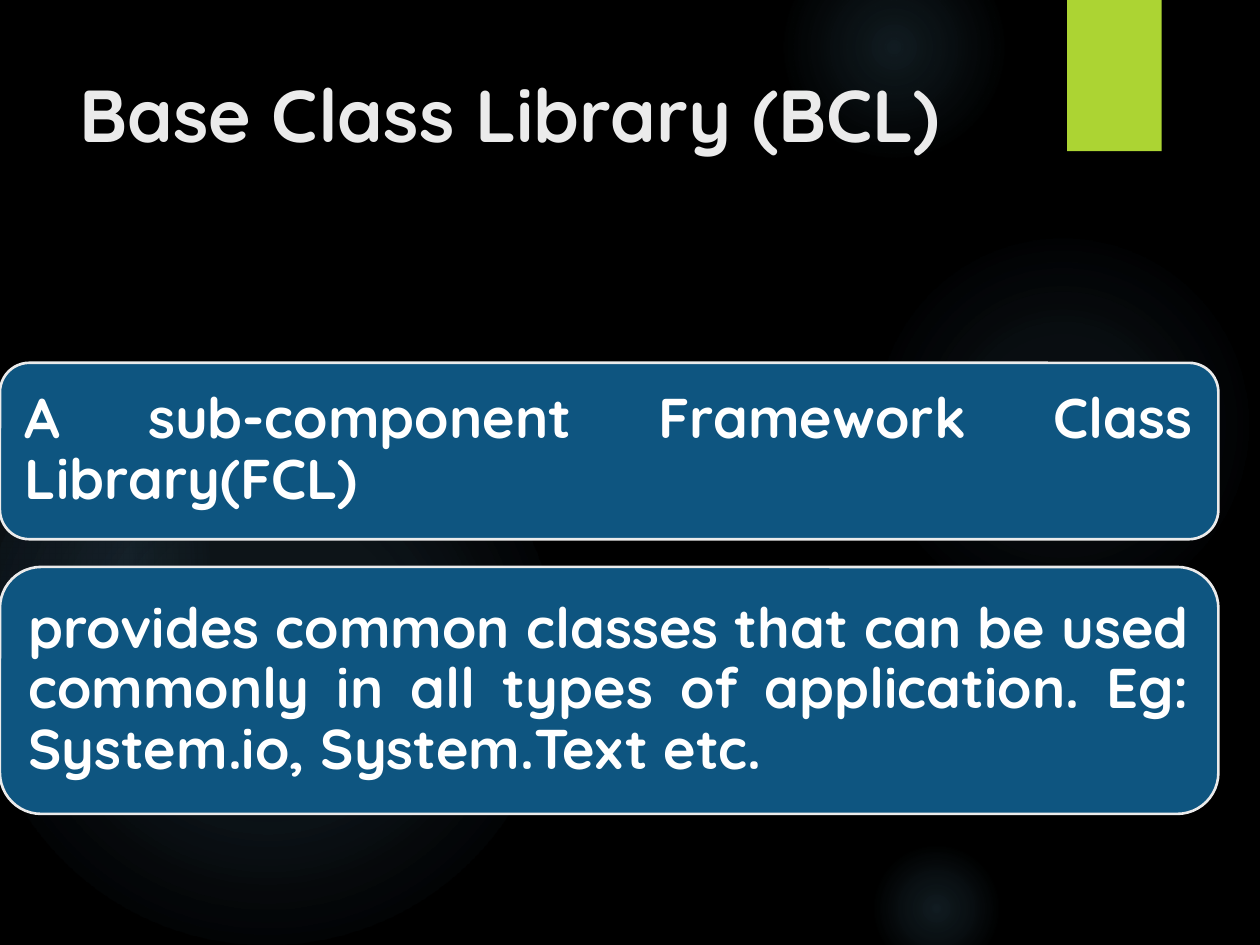
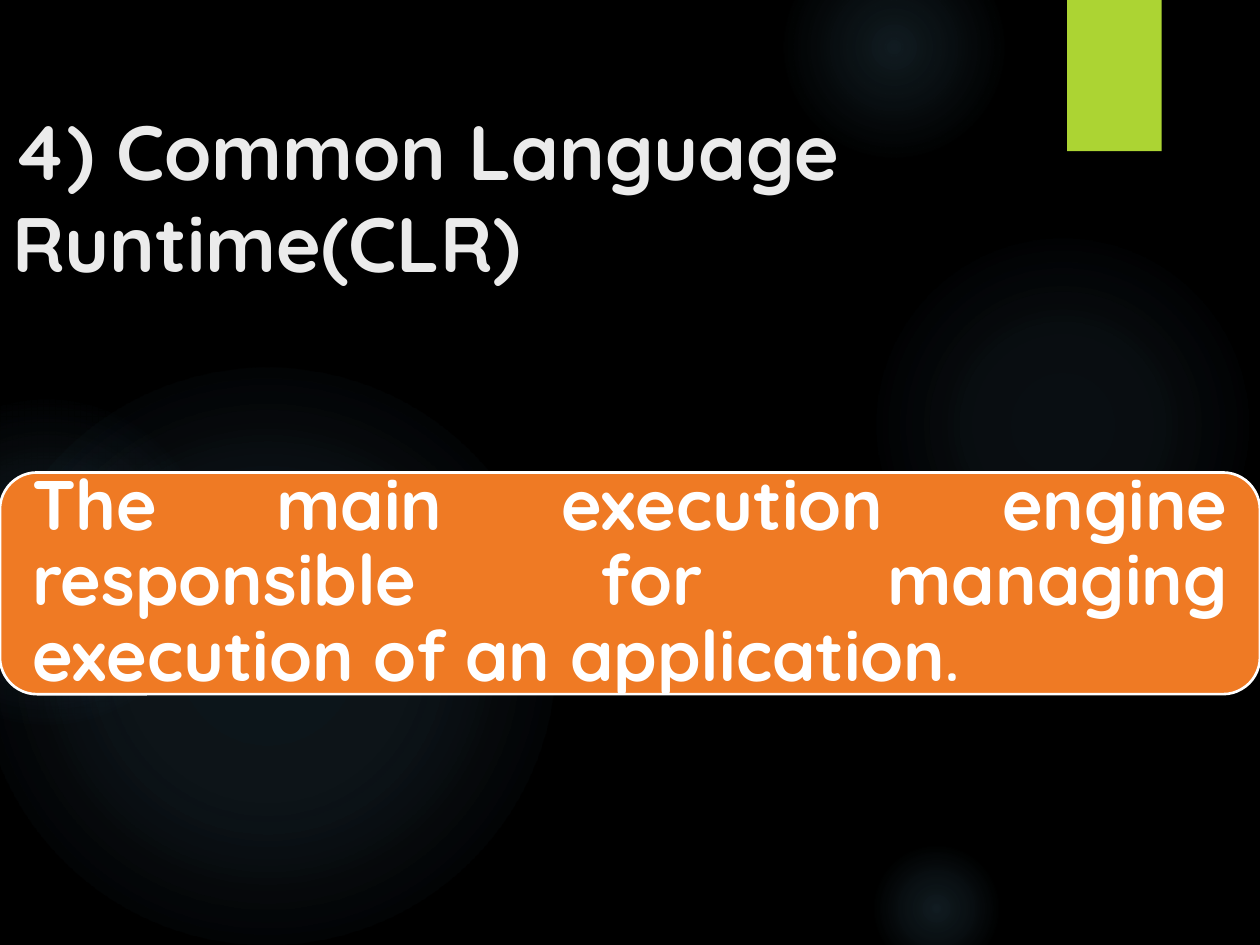
from pptx import Presentation
from pptx.dml.color import RGBColor
from pptx.enum import shapes, text
from pptx.oxml import parse_xml
from pptx.oxml.ns import nsdecls
from pptx.util import Inches, Pt

COLORS = {
    "background": "000000",
    "glow": "7AC4F0",
    "tab": "ACD433",
    "title": "EBEBEB",
    "white": "FFFFFF",
    "blue": "0E5580",
    "orange": "EF7A24",
}
FONT = "Quicksand"
GLOWS = [
    (6.89, 1.83, 3.08, [(0, 7), (36, 6), (69, 0)]),
    (6.22, -0.5, 1.75, [(0, 14), (36, 7), (73, 0)]),
    (6.89, 6.67, 1.08, [(0, 14), (36, 7), (66, 0)]),
    (-0.17, 2.92, 4.58, [(0, 11), (36, 10), (75, 0)]),
    (-0.92, 3.17, 2.58, [(0, 8), (36, 8), (72, 0)]),
]


def color(name):
    """Return the named colour of the deck."""
    return RGBColor.from_string(COLORS[name])


def add_plain_shape(page, kind, box):
    """Add a shape without shadow or outline in a box given in inches."""
    shape = page.shapes.add_shape(kind, *map(Inches, box))
    shape.shadow.inherit = False
    shape.line.fill.background()
    return shape


def add_glow(page, left, top, size, stops):
    """Add a round glow that fades towards its rim."""
    glow = add_plain_shape(page, shapes.MSO_SHAPE.OVAL, (left, top, size, size))
    glow.fill.background()
    stop_list = "".join(
        f'<a:gs pos="{position * 1000}"><a:srgbClr val="{COLORS["glow"]}">'
        f'<a:alpha val="{alpha * 1000}"/></a:srgbClr></a:gs>'
        for position, alpha in stops
    )
    gradient = parse_xml(
        f'<a:gradFill {nsdecls("a")} rotWithShape="1"><a:gsLst>{stop_list}</a:gsLst>'
        '<a:path path="circle"><a:fillToRect l="50000" t="50000" r="50000" b="50000"/>'
        "</a:path></a:gradFill>"
    )
    properties = glow._element.spPr
    properties.replace(properties.find("{*}noFill"), gradient)
    return glow


def add_tab(page, box):
    """Add the green tab with its soft shadow at the top edge."""
    tab = add_plain_shape(page, shapes.MSO_SHAPE.RECTANGLE, box)
    tab.fill.solid()
    tab.fill.fore_color.rgb = color("tab")
    tab._element.spPr.find("{*}effectLst").append(parse_xml(
        f'<a:outerShdw {nsdecls("a")} blurRad="{Pt(3)}" dist="{Pt(2)}" dir="5400000" '
        'rotWithShape="0"><a:srgbClr val="000000"><a:alpha val="45000"/></a:srgbClr>'
        "</a:outerShdw>"
    ))
    return tab


def decorate_layout(layout, page):
    """Draw the backdrop on a page and move it to the shared layout."""
    layout.background.fill.solid()
    layout.background.fill.fore_color.rgb = color("background")
    backdrop = [add_glow(page, *glow) for glow in GLOWS]
    backdrop.append(add_tab(page, (8.47, 0, 0.75, 1.2)))
    for shape in backdrop:
        layout.shapes._spTree.append(shape._element)


def set_title(page, wording, box, size):
    """Place and format the title placeholder."""
    title = page.shapes.title
    title.left, title.top, title.width, title.height = map(Inches, box)
    frame = title.text_frame
    frame.text = wording
    frame.word_wrap = True
    frame.auto_size = text.MSO_AUTO_SIZE.NONE
    frame.vertical_anchor = text.MSO_ANCHOR.TOP
    para = frame.paragraphs[0]
    para.alignment = text.PP_ALIGN.LEFT
    set_font(para.font, size, "title")


def set_font(font, size, color_name):
    """Apply the bold typeface of the deck."""
    font.name, font.size, font.bold = FONT, Pt(size), True
    font.color.rgb = color(color_name)


def add_card(page, box, spans, fill, line, size, inset):
    """Add a rounded card with justified text."""
    card = add_plain_shape(page, shapes.MSO_SHAPE.ROUNDED_RECTANGLE, box)
    card.fill.solid()
    card.fill.fore_color.rgb = color(fill)
    card.line.color.rgb = color(line)
    card.line.width = Pt(1.5)
    frame = card.text_frame
    frame.word_wrap = True
    frame.vertical_anchor = text.MSO_ANCHOR.MIDDLE
    frame.margin_left = frame.margin_right = Inches(inset)
    frame.margin_top = frame.margin_bottom = Inches(inset)
    para = frame.paragraphs[0]
    para.alignment = text.PP_ALIGN.JUSTIFY
    para.line_spacing = 0.9
    set_font(para.font, size, "white")
    for wording, span_size in spans:
        span = para.add_run()
        span.text = wording
        if span_size != size:
            span.font.size = Pt(span_size)


def build_library_page(page):
    """Fill the page about the base class library."""
    set_title(page, "Base Class Library (BCL)", (0.53, 0.5, 7.72, 1.53), 42)
    cards = [
        (2.88, 1.4, "A sub-component Framework Class Library(FCL)"),
        (4.5, 1.96, "provides common classes that can be used commonly in all "
                    "types of application. Eg: System.io, System.Text etc."),
    ]
    for top, height, wording in cards:
        add_card(page, (0, top, 9.67, height), [(wording, 32)],
                 "blue", "title", 32, 0.13)


def build_runtime_page(page):
    """Fill the page about the common language runtime."""
    set_title(page, "4) Common Language Runtime(CLR)", (0, 0.77, 10, 1.73), 44)
    spans = [
        ("The main execution engine responsible for managing execution "
         "of an application", 40),
        (".", 32),
    ]
    add_card(page, (0, 3.75, 10, 1.76), spans, "orange", "white", 40, 0.17)


def main():
    """Build and save the deck."""
    deck = Presentation()
    deck.slide_width, deck.slide_height = Inches(10), Inches(7.5)
    layout = deck.slide_layouts[5]
    library_page, runtime_page = (deck.slides.add_slide(layout) for _ in range(2))
    decorate_layout(layout, library_page)
    build_library_page(library_page)
    build_runtime_page(runtime_page)
    deck.save("out.pptx")


if __name__ == "__main__":
    main()
